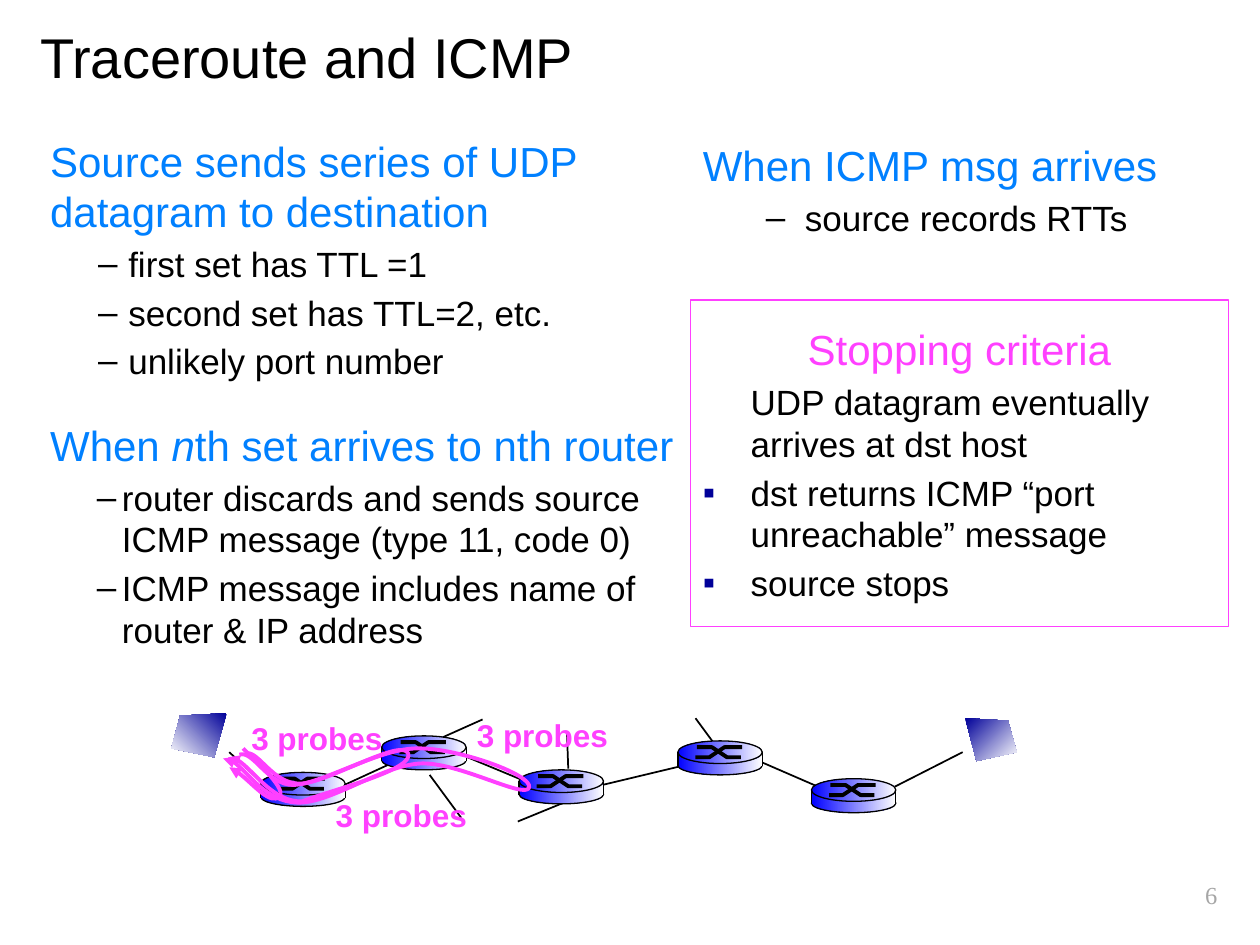
from pptx import Presentation
from pptx.dml.color import RGBColor
from pptx.enum.shapes import MSO_CONNECTOR, MSO_SHAPE
from pptx.enum.text import MSO_ANCHOR, PP_ALIGN
from pptx.oxml.ns import qn
from pptx.util import Inches, Pt
from lxml import etree

LINE = MSO_CONNECTOR.STRAIGHT
RECT, OVAL = MSO_SHAPE.RECTANGLE, MSO_SHAPE.OVAL
LEFT, CENTER, RIGHT = PP_ALIGN.LEFT, PP_ALIGN.CENTER, PP_ALIGN.RIGHT
TOP, MIDDLE = MSO_ANCHOR.TOP, MSO_ANCHOR.MIDDLE
BLACK = RGBColor(0, 0, 0)
WHITE = RGBColor(0xFF, 0xFF, 0xFF)
SKY = RGBColor(0x00, 0x80, 0xFF)
PINK = RGBColor(0xFF, 0x40, 0xFF)
NAVY = RGBColor(0x00, 0x00, 0x99)
BLUE = RGBColor(0x00, 0x00, 0xFF)
GRAY = RGBColor(0xA6, 0xA6, 0xA6)

# Paragraph styles
HEAD = dict(size=24, color=SKY)
DASH = dict(size=20, bullet="–", margin=0.62, hang=0.24)
TIGHT_DASH = dict(DASH, margin=0.57, hang=0.2)
WIDE_DASH = dict(DASH, margin=0.81, hang=0.31)
STOP_HEAD = dict(size=24, color=PINK, align=CENTER, leading=1.02)
PLAIN = dict(size=20, margin=0.38)
SQUARE = dict(PLAIN, hang=0.38, bullet="▪", bullet_color=NAVY)

SENDING = [
    ("Source sends series of UDP datagram to destination", HEAD),
    ("first set has TTL =1", DASH),
    ("second set has TTL=2, etc.", DASH),
    ("unlikely port number", DASH),
    (("When ", "n", "th set arrives to nth router"), dict(HEAD, before=21.6)),
    ("router discards and sends source ICMP message (type 11, code 0)", TIGHT_DASH),
    ("ICMP message includes name of router & IP address", TIGHT_DASH),
]
ARRIVING = [("When ICMP msg arrives", HEAD), ("source records RTTs", WIDE_DASH)]
STOPPING = [
    ("Stopping criteria", STOP_HEAD),
    ("UDP datagram eventually arrives at dst host", PLAIN),
    ("dst returns ICMP “port unreachable” message", SQUARE),
    ("source stops", SQUARE),
]
LINKS = [
    (1.82, 5.97, 2.13, 6.26), (2.69, 6.25, 3.19, 6.02), (3.71, 6.01, 4.24, 6.23),
    (3.83, 5.71, 3.45, 5.88), (5.45, 6.07, 4.78, 6.23), (6, 6.03, 6.53, 6.26),
    (7.64, 5.97, 7.03, 6.28), (3.41, 6.15, 3.66, 6.49), (5.52, 5.7, 5.77, 6.04),
    (4.5, 6.36, 4.11, 6.52), (4.5, 5.82, 4.51, 6.1),
]
PROBE_LABELS = [(1.89, 5.66), (2.56, 6.27), (3.68, 5.63)]
HOSTS = [  # outline, gradient angle
    ([(1.8, 5.66), (1.43, 5.68), (1.36, 5.94), (1.7, 6.01)], 225),
    ([(7.66, 5.7), (8, 5.72), (8.07, 5.97), (7.75, 6.04)], 315),
]
ROUTERS = [(6.44, 6.18), (5.38, 5.88), (4.12, 6.11), (3.03, 5.84), (2.07, 6.13)]
# Start point, then two control points and an end point for each curve
PROBES = [
    [(1.9, 5.99), (2.01, 5.95), (2.12, 6.23), (2.33, 6.23), (2.57, 6.22), (3.02, 5.93),
     (3.33, 5.94), (3.64, 5.94), (4.23, 6.15), (4.2, 6.25), (4.17, 6.35), (3.63, 6.04),
     (3.33, 6.06), (3.02, 6.08), (2.62, 6.38), (2.36, 6.37), (2.1, 6.36), (1.88, 5.99),
     (1.77, 6.02)],
    [(1.93, 5.94), (1.97, 5.99), (2.28, 6.25), (2.22, 6.32), (2.15, 6.4), (1.93, 6.13),
     (1.82, 6.09)],
    [(1.95, 5.98), (2.05, 5.95), (2.16, 6.22), (2.38, 6.22), (2.59, 6.22), (3.19, 5.85),
     (3.24, 5.98), (3.29, 6.11), (2.63, 6.27), (2.4, 6.36), (2.17, 6.37), (1.92, 5.98),
     (1.81, 6.01)],
]


def add_bullet(p, char, color):
    pPr = p._p.get_or_add_pPr()
    if color is not None:
        clr = etree.SubElement(pPr, qn("a:buClr"))
        etree.SubElement(clr, qn("a:srgbClr")).set("val", str(color))
    etree.SubElement(pPr, qn("a:buFont")).set("typeface", "Arial")
    etree.SubElement(pPr, qn("a:buChar")).set("char", char)


def fill_paragraph(p, text, first, size, color=BLACK, align=LEFT, margin=0, hang=0,
                   bullet=None, bullet_color=None, leading=1.19, before=None):
    """Write one paragraph; in a tuple of runs every second run is italic."""
    runs = (text,) if isinstance(text, str) else text
    for i, part in enumerate(runs):
        r = p.add_run()
        r.text = part
        r.font.name, r.font.size, r.font.color.rgb = "Arial", Pt(size), color
        r.font.italic = i % 2 == 1
    p.alignment = align
    p.line_spacing = Pt(size * leading)
    if not first:
        p.space_before = Pt(before or size * 0.2)
    pPr = p._p.get_or_add_pPr()
    pPr.set("marL", str(Inches(margin)))
    pPr.set("indent", str(-Inches(hang)))
    if bullet:
        add_bullet(p, bullet, bullet_color)


def fill_text(shape, paragraphs):
    tf = shape.text_frame
    tf.word_wrap, tf.vertical_anchor = True, TOP
    for i, (text, style) in enumerate(paragraphs):
        p = tf.add_paragraph() if i else tf.paragraphs[0]
        fill_paragraph(p, text, i == 0, **style)


def add_box(s, x, y, w, h):
    return s.shapes.add_textbox(Inches(x), Inches(y), Inches(w), Inches(h))


def add_label(s, box, text, size, color, font="Arial", align=LEFT, bold=False, wrap=True):
    tf = add_box(s, *box).text_frame
    tf.word_wrap, tf.vertical_anchor = wrap, MIDDLE
    p = tf.paragraphs[0]
    p.text, p.alignment = text, align
    f = p.runs[0].font
    f.name, f.size, f.bold, f.color.rgb = font, Pt(size), bold, color


def add_line(shapes, x1, y1, x2, y2, width):
    c = shapes.add_connector(LINE, Inches(x1), Inches(y1), Inches(x2), Inches(y2))
    c.line.color.rgb, c.line.width = BLACK, Pt(width)
    etree.SubElement(c._element.spPr, qn("a:effectLst"))


def set_gradient(sp, start, angle):
    sp.shadow.inherit = False
    sp.fill.gradient()
    sp.fill.gradient_angle = angle
    for stop, color in zip(sp.fill.gradient_stops, (start, WHITE)):
        stop.color.rgb = color


def add_outline(shapes, points, close=False):
    pts = [(Inches(x), Inches(y)) for x, y in points]
    fb = shapes.build_freeform(*pts[0])
    fb.add_line_segments(pts[1:], close=close)
    sp = fb.convert_to_shape()
    sp.shadow.inherit = False
    return sp


def add_stroke(shapes, points, color):
    sp = add_outline(shapes, points)
    sp.fill.background()
    sp.line.color.rgb, sp.line.width = color, Pt(2.25)
    return sp


def add_router(s, x, y):
    shapes = s.shapes.add_group_shape().shapes
    for kind, dy, h in ((OVAL, 0.12, 0.15), (RECT, 0.11, 0.09), (OVAL, 0, 0.18)):
        sp = shapes.add_shape(kind, Inches(x), Inches(y + dy), Inches(0.67), Inches(h))
        set_gradient(sp, BLUE, 0)
        if kind == OVAL:
            sp.line.color.rgb, sp.line.width = BLACK, Pt(0.75)
        else:
            sp.line.fill.background()
    for xs, y1, y2 in (((0.14, 0.25, 0.37, 0.51), 0.13, 0.05),
                       ((0.15, 0.27, 0.39, 0.5), 0.05, 0.13)):
        add_stroke(shapes, [(x + dx, y + dy) for dx, dy in zip(xs, (y1, y1, y2, y2))], BLACK)
    for side in (x, x + 0.67):
        add_line(shapes, side, y + 0.09, side, y + 0.2, 0.75)


def bend_segments(sp):
    """Turn every three line segments into one cubic Bezier curve."""
    segments = list(sp._element.iter(qn("a:lnTo")))
    for i in range(0, len(segments), 3):
        curve = etree.Element(qn("a:cubicBezTo"))
        segments[i].addprevious(curve)
        for segment in segments[i:i + 3]:
            curve.append(segment[0])
            segment.getparent().remove(segment)


prs = Presentation()
prs.slide_width, prs.slide_height = Inches(10), Inches(7.5)
s = prs.slides.add_slide(prs.slide_layouts[6])

add_label(s, (0.22, 0.04, 9.75, 0.81), "Traceroute and ICMP", 32, BLACK)
fill_text(add_box(s, 0.3, 1.03, 5.23, 4.49), SENDING)
fill_text(add_box(s, 5.48, 1.06, 4.52, 1.21), ARRIVING)

frame = s.shapes.add_shape(RECT, Inches(5.48), Inches(2.38), Inches(4.27), Inches(2.59))
frame.shadow.inherit = False
frame.fill.background()
frame.line.color.rgb, frame.line.width = PINK, Pt(0.75)
frame.text_frame.margin_top = Inches(0.25)
fill_text(frame, STOPPING)

for link in LINKS:
    add_line(s.shapes, *link, 1)
for x, y in PROBE_LABELS:
    add_label(s, (x, y, 1.25, 0.4), "3 probes", 18, PINK, align=CENTER, bold=True, wrap=False)
for outline, angle in HOSTS:
    host = add_outline(s.shapes, outline, close=True)
    set_gradient(host, NAVY, angle)
    host.line.fill.background()
for x, y in ROUTERS:
    add_router(s, x, y)
for knots in PROBES:
    probe = add_stroke(s.shapes, knots, PINK)
    bend_segments(probe)
    etree.SubElement(probe.line._get_or_add_ln(), qn("a:tailEnd")).set("type", "triangle")

add_label(s, (8.63, 6.91, 1.13, 0.38), "6", 14, GRAY, font="Times New Roman", align=RIGHT)
prs.save("out.pptx")
